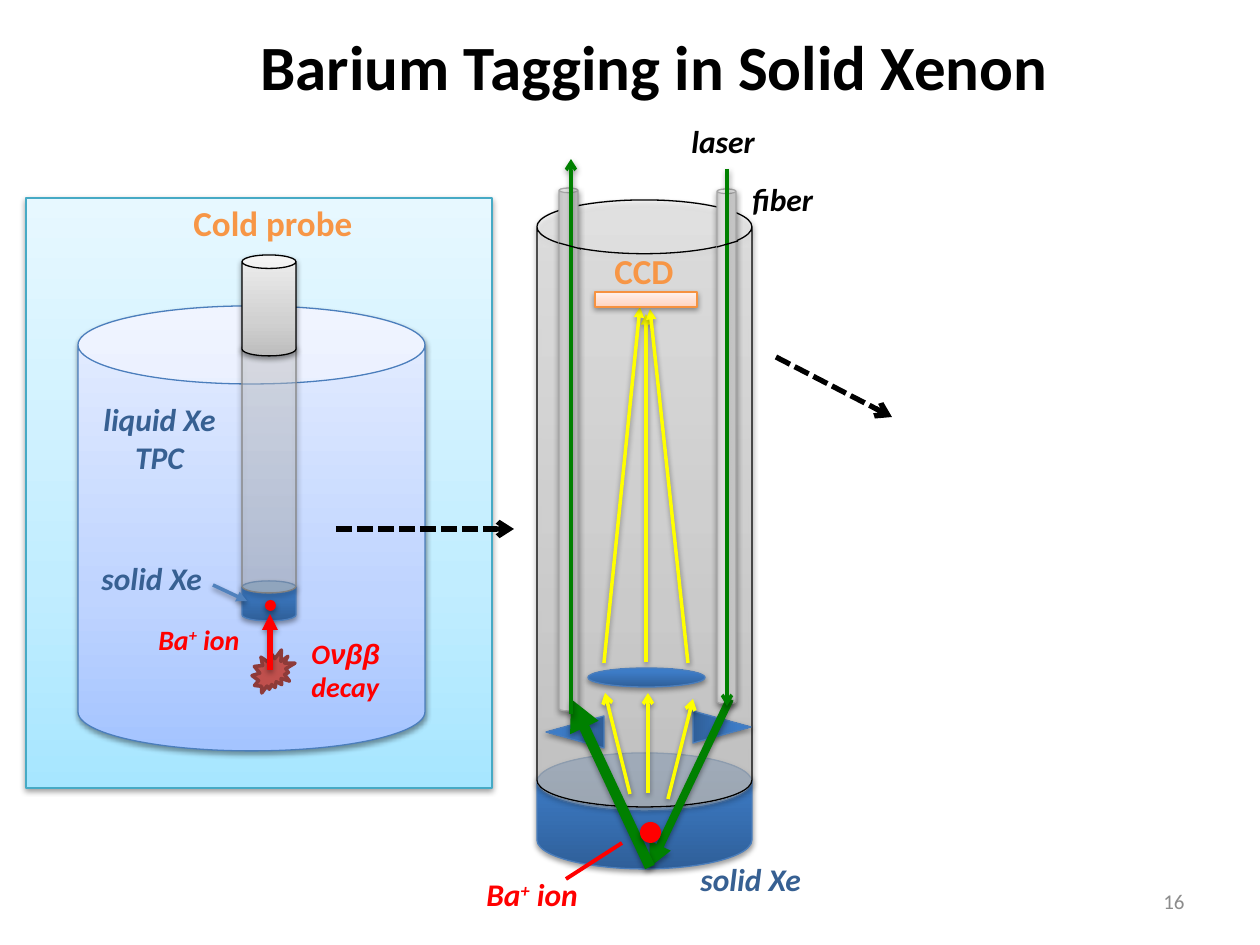
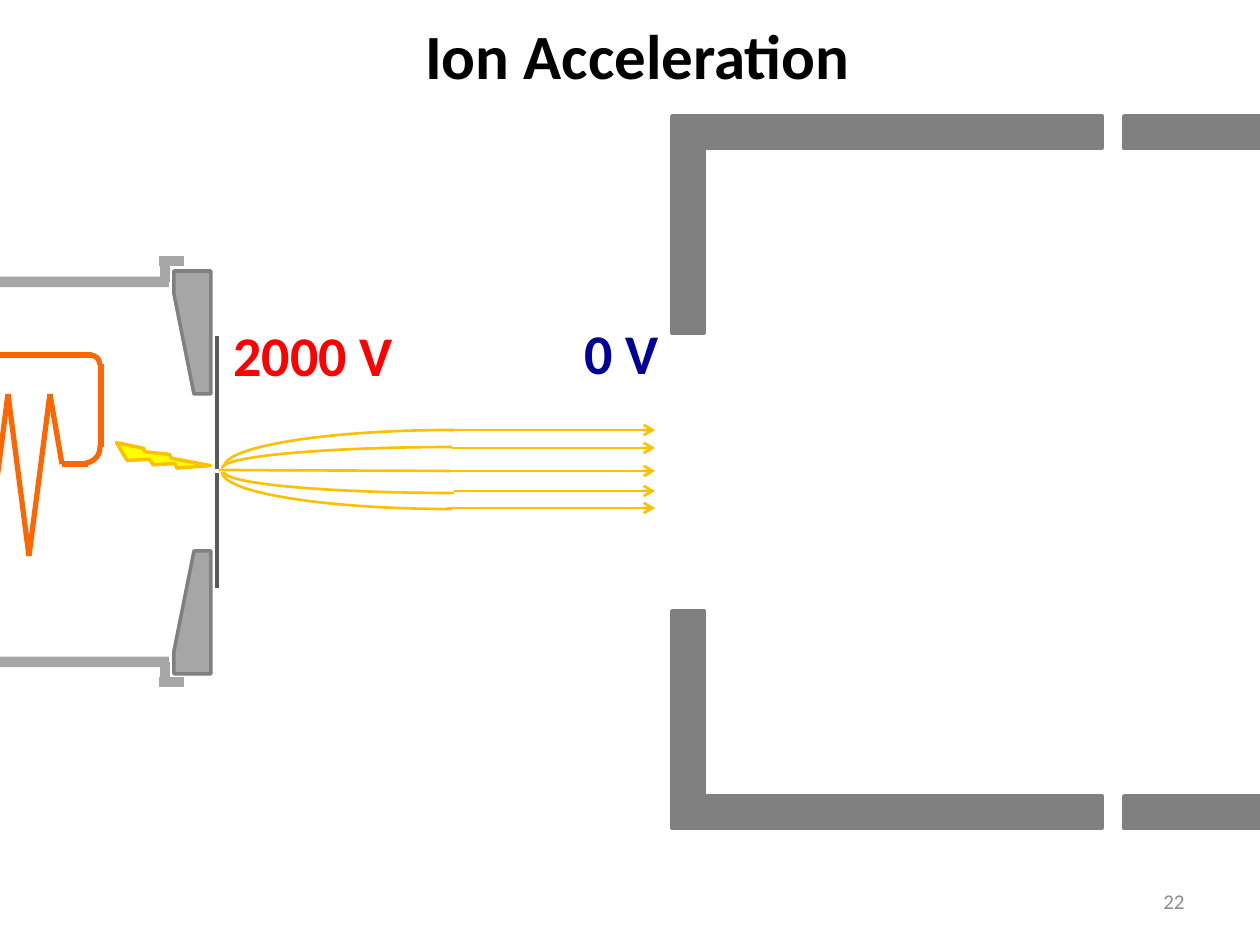
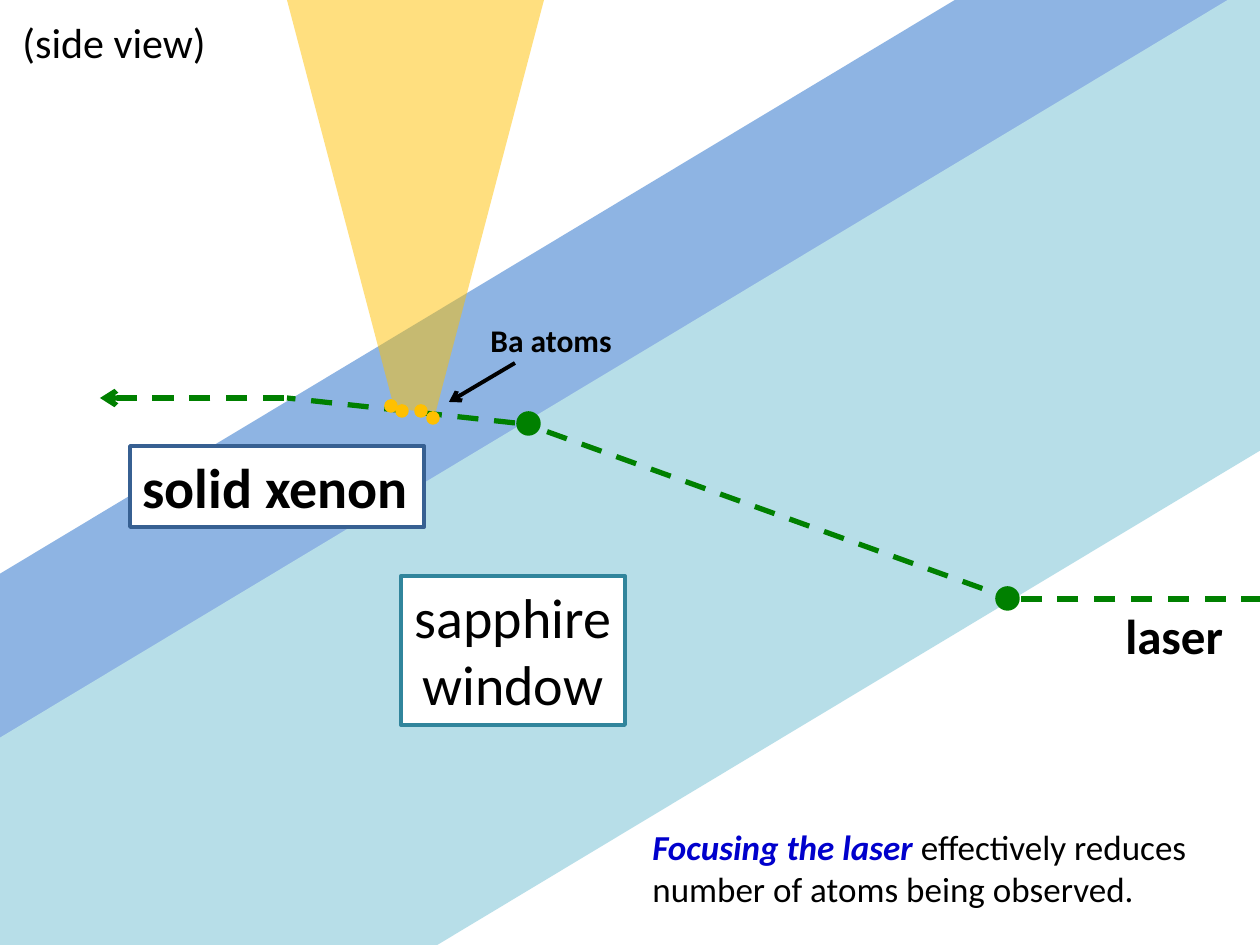
from itertools import pairwise
from lxml.etree import SubElement
from pptx import Presentation
from pptx.dml.color import RGBColor
from pptx.enum.dml import MSO_LINE as DASH
from pptx.enum.shapes import MSO_CONNECTOR, MSO_SHAPE as KIND
from pptx.enum.text import MSO_ANCHOR, MSO_AUTO_SIZE, PP_ALIGN as ALIGN
from pptx.oxml import parse_xml
from pptx.oxml.ns import nsdecls, qn
from pptx.util import Inches, Pt

PX = 7257
rgb = RGBColor.from_string

BLACK, WHITE, RED, GREEN = "000000", "FFFFFF", "FF0000", "008000"
YELLOW, GOLD, ORANGE, COIL = "FFFF00", "FFC000", "F79646", "FF6600"
NAVY, XENON, WALL, STEEL = "376092", "8EB4E3", "808080", "A6A6A6"
BLUE_EDGE = "4B7EBC"

UP = 270
BLUE = (UP, [(0, "2F5F99"), (80, "3D7CC7"), (100, "3A7CCB")])
GREY = (UP, [(0, "BDBDBD"), (35, "D1D1D1"), (100, "EEEEEE")])
SKY = (UP, [(0, "A7E6FF"), (35, "C1EDFF"), (100, "E7F8FF")])
LIQUID = (UP, [(0, "A4C4FF"), (35, "BFD4FF"), (100, "E6EEFF")])
PEACH = (UP, [(0, "FFD2BD"), (35, "FFDED0"), (100, "FFF2ED")])
RIGHT_FIBER = (0, [(0, "BFBFBF"), (47, "FFFFFF"), (100, "BFBFBF")])
LEFT_FIBER = (0, [(0, "BFBFBF"), (50, "D9D9D9"), (100, "BFBFBF")])

NO_EFFECT = f'<a:effectLst {nsdecls("a")}/>'
SHADOW = (
    f'<a:effectLst {nsdecls("a")}>'
    '<a:outerShdw blurRad="40000" dist="20000" dir="5400000" rotWithShape="0">'
    '<a:srgbClr val="000000"><a:alpha val="38000"/></a:srgbClr>'
    '</a:outerShdw></a:effectLst>'
)


def add_form(page, kind, box, fill=None, line=None, width=2, effect=NO_EFFECT,
             turn=0, alpha=100, bend=None):
    if kind == "outline":
        builder = page.shapes.build_freeform(*box[0], scale=PX)
        builder.add_line_segments(box[1:], close=True)
        form = builder.convert_to_shape()
    else:
        form = page.shapes.add_shape(kind, *[length * PX for length in box])
    props = form._element.spPr
    if fill is None:
        form.fill.background()
    elif isinstance(fill, str):
        form.fill.solid()
        form.fill.fore_color.rgb = rgb(fill)
    else:
        angle, stops = fill
        shade = SubElement(props, qn("a:gradFill"), rotWithShape="1")
        stop_list = SubElement(shade, qn("a:gsLst"))
        for spot, color in stops:
            stop = SubElement(stop_list, qn("a:gs"), pos=str(spot * 1000))
            SubElement(stop, qn("a:srgbClr"), val=color)
        SubElement(shade, qn("a:lin"), ang=str(angle * 60000), scaled="0")
    if alpha < 100:
        for color in props.iter(qn("a:srgbClr")):
            SubElement(color, qn("a:alpha"), val=str(alpha * 1000))
    if line:
        form.line.color.rgb = rgb(line)
        form.line.width = Pt(width)
    else:
        form.line.fill.background()
    props.append(parse_xml(effect))
    form.rotation = turn
    if bend:
        form.adjustments[0] = bend
    return form


def add_line(page, ends, color, width, effect=NO_EFFECT, dash=None, head=None, tail=None):
    line = page.shapes.add_connector(
        MSO_CONNECTOR.STRAIGHT, *[length * PX for length in ends])
    line.line.color.rgb = rgb(color)
    line.line.width = Pt(width)
    if dash:
        line.line.dash_style = dash
    stroke = line.line._get_or_add_ln()
    for tag, arrow in (("a:headEnd", head), ("a:tailEnd", tail)):
        if arrow:
            SubElement(stroke, qn(tag), type=arrow)
    line._element.spPr.append(parse_xml(effect))


deck = Presentation()
deck.slide_width, deck.slide_height = Inches(10), Inches(7.5)
tagging, acceleration, side_view = [
    deck.slides.add_slide(deck.slide_layouts[6]) for _ in range(3)]

for kind, box, fill, edge, alpha, bend in [
    (KIND.RECTANGLE, (26, 198, 466, 590), SKY, "46AAC5", 100, None),
    (KIND.CAN, (78, 306, 347, 445), LIQUID, BLUE_EDGE, 100, 0.225),
    (KIND.CAN, (242, 581, 54, 40), BLUE, BLUE_EDGE, 100, 0.307),
    (KIND.CAN, (242, 341, 54, 252), GREY, WALL, 37, None),
    (KIND.OVAL, (265, 600, 11, 11), RED, None, 100, None),
]:
    add_form(tagging, kind, box, fill, edge, 0.75, SHADOW, alpha=alpha, bend=bend)
add_line(tagging, (213, 585, 247, 601), "4F81BD", 2, SHADOW, tail="triangle")
add_form(tagging, KIND.EXPLOSION2, (252, 650, 43, 43), "C0504D", "8E3B39")
add_form(tagging, KIND.CAN, (242, 255, 54, 101), GREY, BLACK, 0.75, SHADOW)
add_line(tagging, (270, 670, 270, 614), RED, 3, SHADOW, tail="triangle")

for kind, box, fill, edge, alpha, bend, turn in [
    (KIND.CAN, (537, 753, 215, 116), BLUE, BLUE_EDGE, 100, 0.5, 0),
    (KIND.CAN, (537, 200, 215, 607), GREY, BLACK, 61, None, 0),
    (KIND.CAN, (717, 189, 19, 515), RIGHT_FIBER, STEEL, 100, None, 0),
    (KIND.CAN, (559, 188, 19, 523), LEFT_FIBER, STEEL, 100, None, 0),
    (KIND.ISOSCELES_TRIANGLE, (559, 703, 32, 58), BLUE, BLUE_EDGE, 100, None, 270),
    (KIND.ISOSCELES_TRIANGLE, (706, 698, 32, 58), BLUE, BLUE_EDGE, 100, None, 90),
]:
    add_form(tagging, kind, box, fill, edge, 0.75, SHADOW, turn, alpha, bend)
for ends, color, width, head, tail in [
    ((730, 699, 650, 867), GREEN, 4.5, None, "triangle"),
    ((650, 867, 571, 699), GREEN, 6, None, "triangle"),
    ((648, 793, 648, 693), YELLOW, 2, None, "arrow"),
    ((668, 799, 693, 699), YELLOW, 2, None, "arrow"),
    ((630, 794, 605, 693), YELLOW, 2, None, "arrow"),
    ((646, 314, 646, 662), YELLOW, 2, "triangle", None),
    ((650, 309, 688, 663), YELLOW, 2, "triangle", None),
    ((640, 307, 604, 663), YELLOW, 2, "triangle", None),
    ((727, 169, 727, 706), GREEN, 2, None, "arrow"),
    ((571, 714, 571, 159), GREEN, 2, None, "arrow"),
]:
    add_line(tagging, ends, color, width, SHADOW, head=head, tail=tail)
add_form(tagging, KIND.RECTANGLE, (595, 292, 102, 15), PEACH, "F69240", 0.75, SHADOW)
add_form(tagging, KIND.OVAL, (588, 668, 117, 19), BLUE, BLUE_EDGE, 0.75, SHADOW)
add_form(tagging, KIND.OVAL, (640, 822, 21, 21), RED, effect=SHADOW)
for ends, color, width in [
    ((559, 243, 581, 249), BLACK, 0.75),
    ((738, 241, 717, 247), BLACK, 0.75),
    ((566, 879, 622, 843), RED, 2.25),
]:
    add_line(tagging, ends, color, width)
for ends in [(776, 357, 892, 417), (336, 529, 514, 529)]:
    add_line(tagging, ends, BLACK, 3, dash=DASH.SQUARE_DOT, tail="arrow")

chamber = [(-357, 426), (-262, 426), (-207, 282), (210, 282),
           (210, 662), (-194, 662), (-263, 514), (-355, 514)]
add_form(acceleration, "outline", chamber, None, STEEL, 6)
add_form(acceleration, KIND.RECTANGLE, (171, 261, 53, 423), WHITE, WHITE)
for ends in [(-329, 355, 92, 355), (101, 447, 101, 364), (88, 464, 62, 464)]:
    add_line(acceleration, ends, COIL, 3)
for start, end in pairwise([(62, 464), (50, 394), (29, 556), (8, 394), (-13, 556)]):
    add_line(acceleration, start + end, COIL, 3)
add_form(acceleration, KIND.ARC, (79, 355, 21, 19), None, COIL, 3)
add_form(acceleration, KIND.ARC, (69, 432, 31, 31), None, COIL, 3, turn=84.6)
add_line(acceleration, (217, 336, 217, 588), "595959", 2.25)

electrode = [(174, 294), (174, 271), (211, 271), (211, 394), (194, 394)]
mirrored = [(x, 945 - y) for x, y in electrode]
for points, flange, wall in [(electrode, 261, 282), (mirrored, 682, 662)]:
    add_form(acceleration, "outline", points, STEEL, WALL)
    add_line(acceleration, (165, flange, 165, wall), STEEL, 6)
    add_line(acceleration, (184, flange, 159, flange), STEEL, 6)
add_line(acceleration, (233, 471, 195, 471), WHITE, 2.25)
add_form(acceleration, KIND.LIGHTNING_BOLT, (146, 412, 30, 95), YELLOW, GOLD, turn=294.6)

for x, y, height, upper in [
    (222, 435, 74, False), (224, 430, 74, True), (222, 447, 42, True), (224, 451, 42, False),
]:
    arc = add_form(acceleration, KIND.ARC, (x, y, 460, height), None, GOLD, 1.5,
                   turn=0 if upper else 180)
    if upper:
        arc._element.spPr.xfrm.set("flipH", "1")
add_line(acceleration, (219, 470, 450, 471), GOLD, 1.5)
for x, y in [(447, 471), (452, 448), (452, 430), (454, 491), (447, 508)]:
    add_line(acceleration, (x, y, 655, y), GOLD, 1.5, tail="arrow")
for side_y, plate_y in [(116, 116), (611, 796)]:
    for box in [(672, side_y, 32, 217), (689, plate_y, 413, 32), (1124, plate_y, 136, 32)]:
        add_form(acceleration, KIND.RECTANGLE, box, WALL, WALL)

add_form(side_view, KIND.RECTANGLE, (-209, 255, 1525, 141), XENON, XENON, turn=329)
add_form(side_view, KIND.ISOSCELES_TRIANGLE, (256, -118, 319, 607), GOLD, turn=180, alpha=50)
add_form(side_view, KIND.RECTANGLE, (347, 410, 89, 81), XENON, XENON, turn=7.2)
add_line(side_view, (515, 423, 287, 398), GREEN, 3, dash=DASH.DASH)
for x, y in [(416, 406), (397, 406), (428, 413), (386, 401)]:
    add_form(side_view, KIND.OVAL, (x, y, 10, 10), GOLD, GOLD)
add_line(side_view, (284, 398, 100, 398), GREEN, 3, dash=DASH.DASH, tail="arrow")
add_line(side_view, (515, 363, 449, 402), BLACK, 2.25, tail="arrow")
add_form(side_view, KIND.RECTANGLE, (-106, 359, 1584, 403), "B7DEE8", turn=329)
for ends in [(1017, 601, 523, 423), (1373, 599, 1017, 599)]:
    add_line(side_view, ends, GREEN, 3, dash=DASH.DASH)
for x, y in [(518, 413), (997, 588)]:
    add_form(side_view, KIND.OVAL, (x, y, 21, 21), GREEN, GREEN)

PLAIN, BOLD, SLANTED = (False, False), (True, False), (True, True)
ION = [("Ba", {}), ("+", {"baseline": "30000"}), (" ion", {})]
DECAY = [("O", {}), ("νββ", {"face": "Arial"}), (" decay", {})]
FOCUS = [("Focusing the laser", {"b": "1", "i": "1", "color": "0000CC"}),
         (" effectively reduces number of atoms being observed.", {})]

for page, box, text, size, color, (bold, italic), align, wrap, edge in [
    (tagging, (248, 21, 822, 89), "Barium Tagging in Solid Xenon", 36, BLACK, BOLD, ALIGN.LEFT, False, None),
    (tagging, (146, 616, 116, 47), ION, 16, RED, SLANTED, ALIGN.LEFT, False, None),
    (tagging, (89, 553, 135, 50), "solid Xe", 18, NAVY, SLANTED, ALIGN.LEFT, False, None),
    (tagging, (299, 630, 120, 81), DECAY, 16, RED, SLANTED, ALIGN.LEFT, True, None),
    (tagging, (87, 394, 145, 89), "liquid Xe TPC", 18, NAVY, SLANTED, ALIGN.CENTER, True, None),
    (tagging, (181, 195, 186, 55), "Cold probe", 20, ORANGE, BOLD, ALIGN.LEFT, False, None),
    (tagging, (602, 243, 90, 55), "CCD", 20, ORANGE, BOLD, ALIGN.LEFT, False, None),
    (tagging, (740, 174, 96, 50), "fiber", 18, BLACK, SLANTED, ALIGN.LEFT, False, None),
    (tagging, (688, 854, 135, 50), "solid Xe", 18, NAVY, SLANTED, ALIGN.LEFT, False, None),
    (tagging, (679, 116, 97, 50), "laser", 18, BLACK, SLANTED, ALIGN.LEFT, False, None),
    (tagging, (474, 869, 127, 50), ION, 18, RED, SLANTED, ALIGN.LEFT, False, None),
    (acceleration, (410, 10, 455, 89), "Ion Acceleration", 36, BLACK, BOLD, ALIGN.CENTER, False, None),
    (acceleration, (221, 314, 186, 81), "2000 V", 32, RED, BOLD, ALIGN.LEFT, False, None),
    (acceleration, (572, 312, 101, 81), "0 V", 32, "000099", BOLD, ALIGN.LEFT, False, None),
    (side_view, (478, 315, 147, 50), "Ba atoms", 18, BLACK, BOLD, ALIGN.LEFT, False, None),
    (side_view, (401, 576, 224, 149), "sapphire\nwindow", 32, BLACK, PLAIN, ALIGN.CENTER, False, "31859C"),
    (side_view, (1113, 599, 125, 72), "laser", 28, BLACK, BOLD, ALIGN.LEFT, False, None),
    (side_view, (130, 446, 294, 81), "solid xenon", 32, BLACK, BOLD, ALIGN.LEFT, False, NAVY),
    (side_view, (10, 10, 210, 63), "(side view)", 24, BLACK, PLAIN, ALIGN.LEFT, False, None),
    (side_view, (640, 819, 599, 97), FOCUS, 20, BLACK, PLAIN, ALIGN.LEFT, True, None),
]:
    label = page.shapes.add_textbox(*[length * PX for length in box])
    frame = label.text_frame
    frame.word_wrap = wrap
    frame.auto_size = MSO_AUTO_SIZE.SHAPE_TO_FIT_TEXT
    if edge:
        label.fill.solid()
        label.fill.fore_color.rgb = rgb(WHITE)
        label.line.color.rgb = rgb(edge)
        label.line.width = Pt(2.25)
    if isinstance(text, str):
        frame.text = text
    else:
        for words, traits in text:
            span = frame.paragraphs[0].add_run()
            span.text = words
            for trait, value in traits.items():
                if trait == "face":
                    span.font.name = value
                elif trait == "color":
                    span.font.color.rgb = rgb(value)
                else:
                    span._r.get_or_add_rPr().set(trait, value)
    for para in frame.paragraphs:
        para.alignment = align
        para.font.name = "Calibri"
        para.font.size = Pt(size)
        para.font.bold, para.font.italic = bold, italic
        para.font.color.rgb = rgb(color)

for page, number in [(tagging, "16"), (acceleration, "22")]:
    footer = page.shapes.add_textbox(903 * PX, 876 * PX, 294 * PX, 50 * PX)
    footer.text_frame.word_wrap = True
    footer.text_frame.vertical_anchor = MSO_ANCHOR.MIDDLE
    footer.text_frame.text = number
    para = footer.text_frame.paragraphs[0]
    para.alignment = ALIGN.RIGHT
    para.font.name = "Calibri"
    para.font.size = Pt(12)
    para.font.color.rgb = rgb("8C8C8C")

deck.save("out.pptx")
